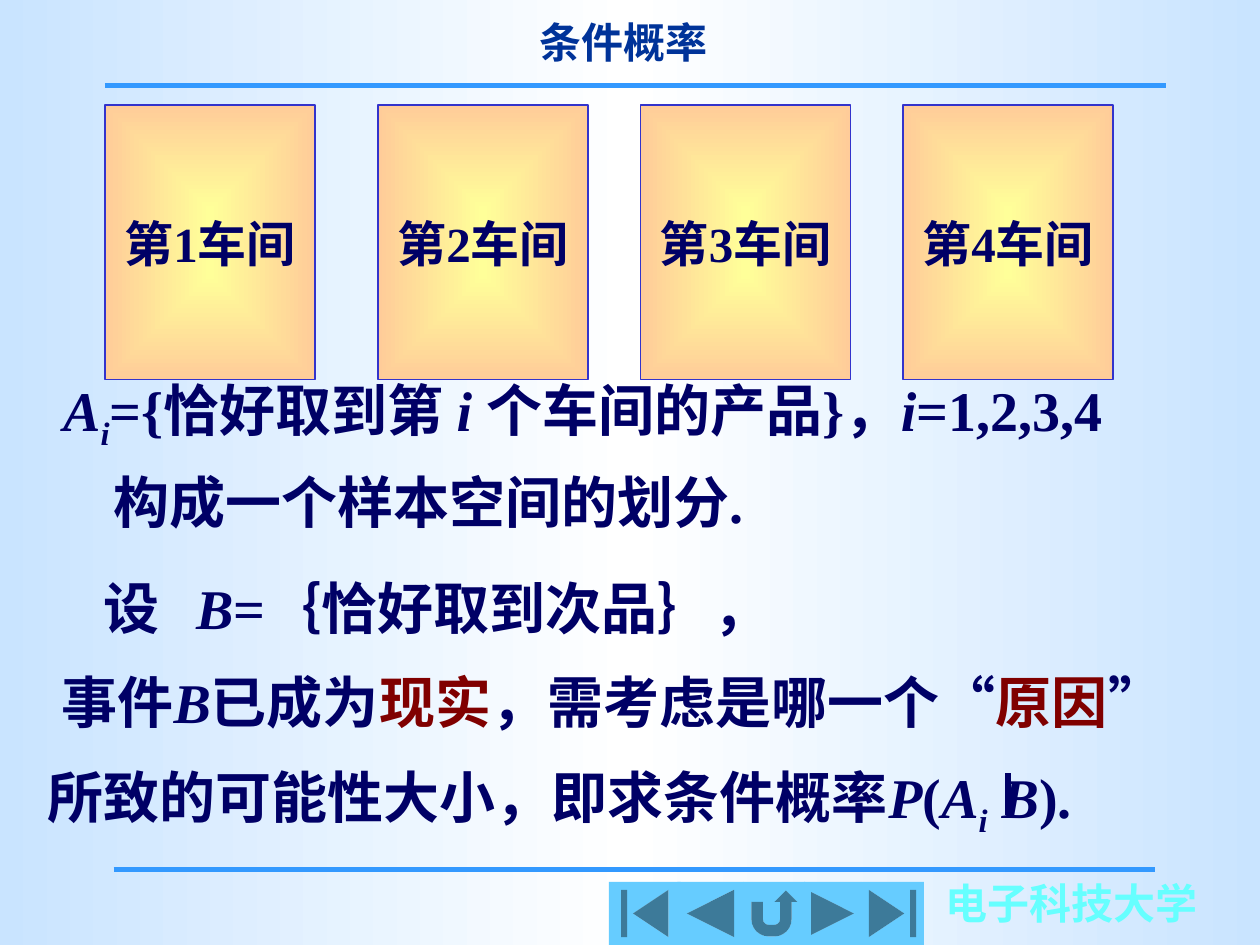
from lxml.etree import SubElement
from pptx import Presentation
from pptx.dml.color import RGBColor
from pptx.enum.shapes import MSO_CONNECTOR, MSO_SHAPE
from pptx.enum.text import MSO_ANCHOR, MSO_AUTO_SIZE, PP_ALIGN
from pptx.oxml.ns import qn
from pptx.util import Pt

FONT = "Times New Roman"
NAVY = RGBColor(0x00, 0x00, 0x66)
TITLE_BLUE = RGBColor(0x00, 0x33, 0x99)
RULE_BLUE = RGBColor(0x33, 0x99, 0xFF)
EDGE_BLUE = RGBColor(0x33, 0x33, 0xCC)
BUTTON_BLUE = RGBColor(0x66, 0xCC, 0xFF)
CYAN = RGBColor(0x66, 0xFF, 0xFF)
MAROON = RGBColor(0x80, 0x00, 0x00)
PALE_BLUE = RGBColor(0xC9, 0xE4, 0xFF)
WHITE = RGBColor(0xFF, 0xFF, 0xFF)
YELLOW = RGBColor(0xFF, 0xFF, 0x99)
PEACH = RGBColor(0xFF, 0xCC, 0x99)


def set_gradient(fill, element, colors, radial=False):
    fill.gradient()
    grad = next(element.iter(qn("a:gradFill")))
    for child in list(grad):
        grad.remove(child)
    stops = SubElement(grad, qn("a:gsLst"))
    for i, color in enumerate(colors):
        gs = SubElement(stops, qn("a:gs"), pos=str(100000 * i // (len(colors) - 1)))
        SubElement(gs, qn("a:srgbClr"), val=str(color))
    if radial:
        center = SubElement(grad, qn("a:path"), {"path": "rect"})
        SubElement(center, qn("a:fillToRect"), dict.fromkeys("ltrb", "50000"))
    else:
        SubElement(grad, qn("a:lin"), ang="0", scaled="1")


def format_run(r, size, color=NAVY, italic=False, sub=False):
    r.font.name = FONT
    r.font.size = Pt(size)
    r.font.bold = True
    r.font.italic = italic
    r.font.color.rgb = color
    if sub:
        r.font._element.set("baseline", "-25000")


def add_text(s, left, top, width, height, paragraphs, size=32):
    tf = s.shapes.add_textbox(Pt(left), Pt(top), Pt(width), Pt(height)).text_frame
    tf.word_wrap = False
    tf.auto_size = MSO_AUTO_SIZE.SHAPE_TO_FIT_TEXT
    for i, runs in enumerate(paragraphs):
        p = tf.add_paragraph() if i else tf.paragraphs[0]
        for text, style in runs:
            r = p.add_run()
            r.text = text
            format_run(r, size, **style)
    return tf


def add_line(s, x1, y1, x2, y2, color):
    line = s.shapes.add_connector(MSO_CONNECTOR.STRAIGHT, Pt(x1), Pt(y1), Pt(x2), Pt(y2))
    line.line.color.rgb = color
    line.line.width = Pt(3)
    SubElement(line.element.spPr, qn("a:effectLst"))


def add_title(s, text):
    title = s.shapes.title
    title.left, title.top, title.width, title.height = Pt(240), Pt(6), Pt(233), Pt(36)
    tf = title.text_frame
    tf.text = text
    tf.vertical_anchor = MSO_ANCHOR.TOP
    p = tf.paragraphs[0]
    p.alignment = PP_ALIGN.CENTER
    format_run(p.runs[0], 24, TITLE_BLUE)


def add_workshop(s, left, text):
    card = s.shapes.add_shape(MSO_SHAPE.RECTANGLE, Pt(left), Pt(60), Pt(120), Pt(157))
    card.shadow.inherit = False
    set_gradient(card.fill, card.element, [YELLOW, PEACH], radial=True)
    card.line.color.rgb = EDGE_BLUE
    card.line.width = Pt(0.75)
    tf = card.text_frame
    tf.text = text
    tf.word_wrap = True
    tf.vertical_anchor = MSO_ANCHOR.MIDDLE
    p = tf.paragraphs[0]
    p.alignment = PP_ALIGN.CENTER
    format_run(p.runs[0], 28)


def add_button(s, shape_type, left, width):
    button = s.shapes.add_shape(shape_type, Pt(left), Pt(504), Pt(width), Pt(36))
    button.shadow.inherit = False
    button.fill.solid()
    button.fill.fore_color.rgb = BUTTON_BLUE
    button.line.fill.background()


def main():
    prs = Presentation()
    prs.slide_width, prs.slide_height = Pt(720), Pt(540)
    s = prs.slides.add_slide(prs.slide_layouts[5])
    set_gradient(s.background.fill, s.element, [PALE_BLUE, WHITE, PALE_BLUE])
    plain, italic, red = {}, {"italic": True}, {"color": MAROON}
    sub = {"italic": True, "sub": True}

    add_title(s, "条件概率")
    add_line(s, 60, 49, 666, 49, RULE_BLUE)
    add_line(s, 65, 497, 660, 497, RULE_BLUE)
    add_text(s, 533, 498, 170, 36, [[("电子科技大学", {"color": CYAN})]], 24)

    for i, left in enumerate([60, 216, 366, 516], 1):
        add_workshop(s, left, f"第{i}车间")

    tf = add_text(s, 29, 198, 663, 64, [[
        ("A", italic), ("i", sub), ("={恰好取到第 ", plain), ("i ", italic),
        ("个车间的产品}，", plain), ("i", italic), ("=1,2,3,4", plain)]])
    tf.paragraphs[0].line_spacing = 1.3
    tf = add_text(s, 57.6, 252, 390, 58, [[("构成一个样本空间的划分.", plain)]])
    tf.paragraphs[0].line_spacing = 1.3

    tf = add_text(s, 52, 324, 409, 46, [[
        ("设\t", plain), ("B", italic), ("=｛恰好取到次品｝，", plain)]])
    tabs = SubElement(tf.paragraphs[0]._p.get_or_add_pPr(), qn("a:tabLst"))
    SubElement(tabs, qn("a:tab"), pos=str(Pt(53)), algn="l")

    tf = add_text(s, 20, 378, 676, 101, [
        [("事件", plain), ("B", italic), ("已成为", plain), ("现实", red),
         ("，需考虑是哪一个“", plain), ("原因", red), ("”", plain)],
        [("所致的可能性大小，即求条件概率", plain), ("P", italic), ("(", plain),
         ("A", italic), ("i", sub), (" B", italic), (").", plain)]])
    event, cause = tf.paragraphs
    event._p.get_or_add_pPr().set("marL", str(Pt(8)))
    cause.line_spacing = 0.8
    cause.space_before = Pt(20)
    add_line(s, 576, 442, 576, 466, NAVY)

    for shape_type, left, width in [
            (MSO_SHAPE.ACTION_BUTTON_BEGINNING, 348, 41),
            (MSO_SHAPE.ACTION_BUTTON_BACK_OR_PREVIOUS, 387, 38),
            (MSO_SHAPE.ACTION_BUTTON_RETURN, 425, 35),
            (MSO_SHAPE.ACTION_BUTTON_FORWARD_OR_NEXT, 459.5, 32.5),
            (MSO_SHAPE.ACTION_BUTTON_END, 492, 36)]:
        add_button(s, shape_type, left, width)

    prs.save("out.pptx")


if __name__ == "__main__":
    main()
